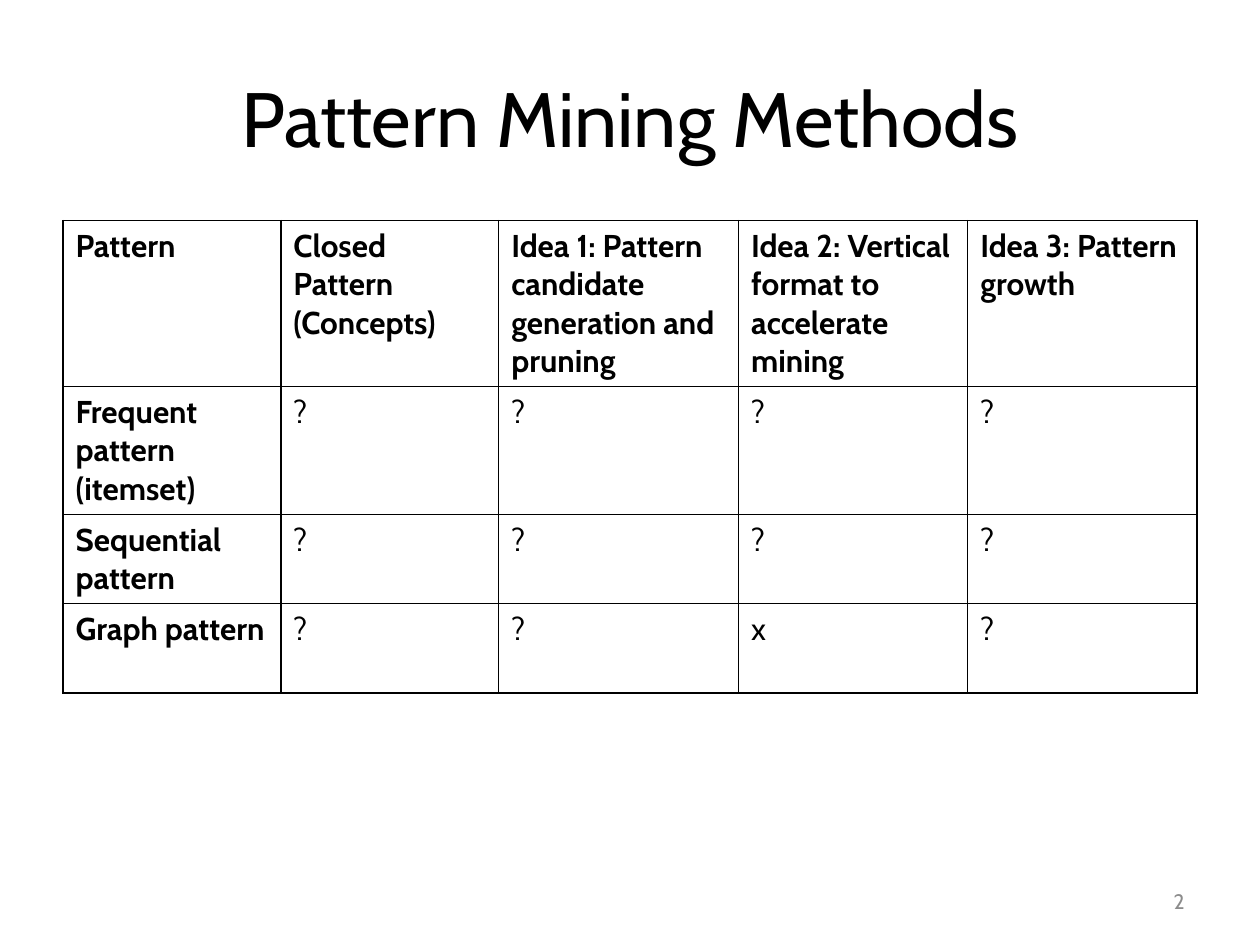
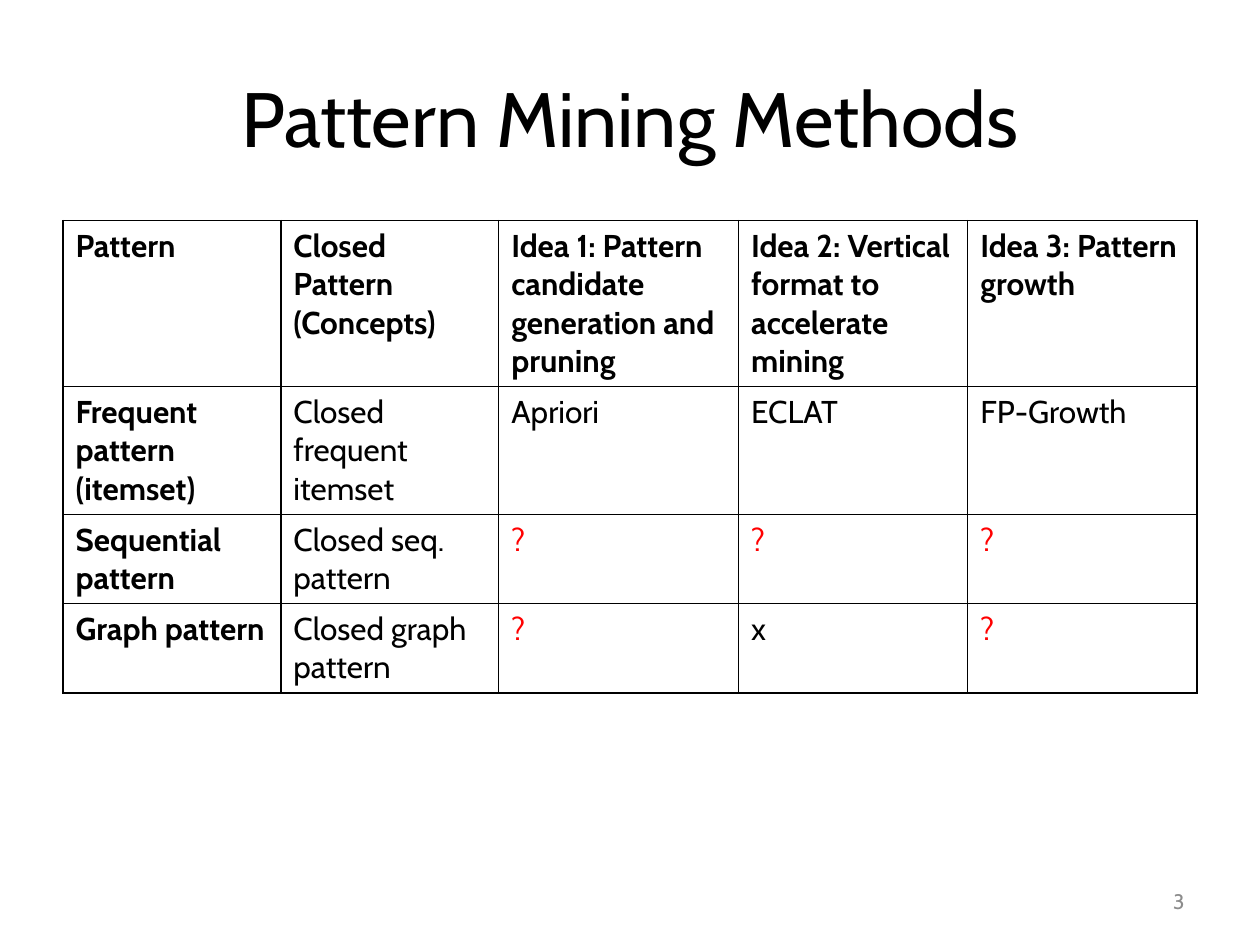
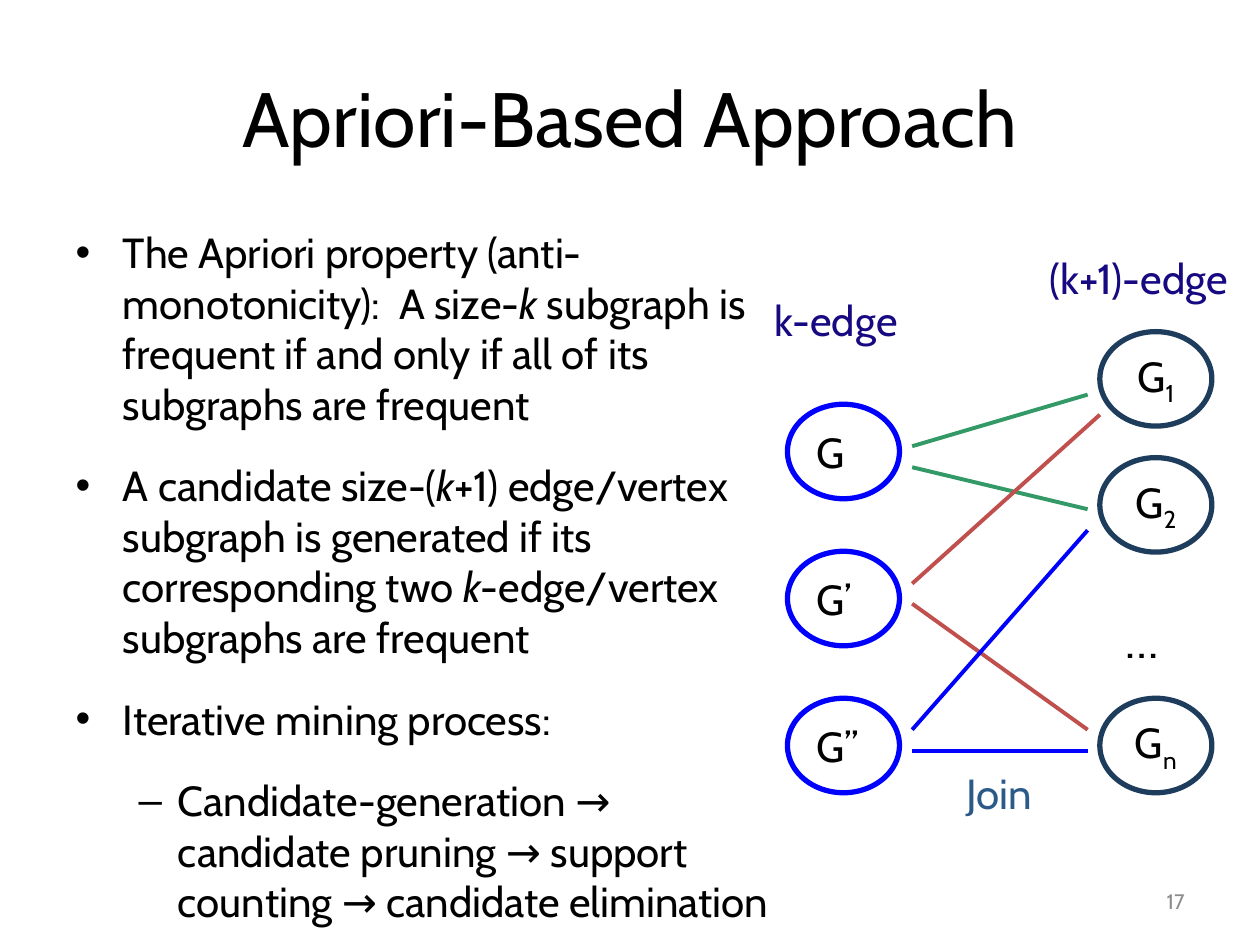
from dataclasses import dataclass

from lxml import etree
from pptx import Presentation
from pptx.dml.color import RGBColor
from pptx.enum.shapes import MSO_CONNECTOR, MSO_SHAPE
from pptx.enum.text import MSO_ANCHOR, MSO_AUTO_SIZE, PP_ALIGN
from pptx.oxml.ns import qn
from pptx.util import Pt

ELLIPSE = MSO_SHAPE.OVAL
STRAIGHT = MSO_CONNECTOR.STRAIGHT
MIDDLE = MSO_ANCHOR.MIDDLE
FIXED, GROW = MSO_AUTO_SIZE.NONE, MSO_AUTO_SIZE.SHAPE_TO_FIT_TEXT
LEFT, CENTER, RIGHT = PP_ALIGN.LEFT, PP_ALIGN.CENTER, PP_ALIGN.RIGHT
TITLE_AND_CONTENT, TITLE_ONLY = 1, 5


@dataclass(frozen=True)
class Theme:
    font: str = "Cabin"
    text: str = "000000"
    paper: str = "FFFFFF"
    muted: str = "8C8C8C"
    open_question: str = "FF0000"
    label: str = "170981"
    join: str = "2C5A88"
    blue: str = "0000FF"
    navy: str = "1E3D5C"
    green: str = "339966"
    red: str = "C0504D"
    title_size: int = 44
    ellipsis_size: int = 28
    body_size: int = 24
    table_size: int = 18
    number_size: int = 12


THEME = Theme()

COLUMN_WIDTHS = (124.5, 124.5, 137, 131, 131)
ROW_HEIGHTS = (95, 73, 51, 51)
HEADINGS = (
    "Pattern",
    "Closed Pattern (Concepts)",
    "Idea 1: Pattern candidate generation and pruning",
    "Idea 2: Vertical format to accelerate mining",
    "Idea 3: Pattern growth",
)
PATTERNS = ("Frequent pattern (itemset)", "Sequential pattern", "Graph pattern")
QUESTIONS = (("?", "?", "?", "?"), ("?", "?", "?", "?"), ("?", "?", "x", "?"))
ANSWERS = (
    ("Closed frequent itemset", "Apriori", "ECLAT", "FP-Growth"),
    ("Closed seq. pattern", "?", "?", "?"),
    ("Closed graph pattern", "?", "x", "?"),
)

# Each bullet: level, then (text, italic) spans.
BULLETS = (
    (0, (("The Apriori property (anti-monotonicity):  A size-", False),
         ("k ", True),
         ("subgraph is frequent if and only if all of its subgraphs are frequent", False))),
    (0, (("A candidate size-(", False),
         ("k", True),
         ("+1) edge/vertex subgraph is generated if its corresponding two ", False),
         ("k", True),
         ("-edge/vertex subgraphs are frequent", False))),
    (0, (("Iterative mining process:", False),)),
    (1, (("Candidate-generation → candidate pruning → support counting"
          " → candidate elimination", False),)),
)

NODE_WIDTH, NODE_HEIGHT = 64, 54
PARENT_LEFT, PARENT_TOP, PARENT_STEP = 450, 231, 84
PARENTS = ("G", "G’", "G’’")
CHILD_LEFT = 628.5
CHILDREN = (("1", 189.5), ("2", 261.5), ("n", 399))
JOIN_START, JOIN_END = 521.25, 621.5
# Each join: start height, end x, end height, colour.
JOINS = (
    (255, JOIN_END, 225.5, THEME.green),
    (267, JOIN_END, 291, THEME.green),
    (333.5, CHILD_LEFT, 237, THEME.red),
    (345, JOIN_END, 417, THEME.red),
    (417, JOIN_END, 303, THEME.blue),
    (429, JOIN_END, 429, THEME.blue),
)


def rgb(colour):
    return RGBColor.from_string(colour)


def write(para, text, size=THEME.body_size, colour=THEME.text, bold=False,
          italic=False, baseline=0):
    """Append a formatted span; baseline is a percentage, negative for subscript."""
    span = para.add_run()
    span.text = text
    span.font.name = THEME.font
    span.font.size = Pt(size)
    span.font.color.rgb = rgb(colour)
    span.font.bold = bold
    span.font.italic = italic
    if baseline:
        span._r.get_or_add_rPr().set("baseline", str(baseline * 1000))


def place(box, left, top, width, height):
    box.left, box.top, box.width, box.height = map(Pt, (left, top, width, height))


def add_page(deck, layout, title, number):
    page = deck.slides.add_slide(deck.slide_layouts[layout])
    heading = page.shapes.title
    place(heading, 36, 21.5, 648, 90)
    frame = heading.text_frame
    frame.vertical_anchor = MIDDLE
    frame.auto_size = FIXED
    frame.paragraphs[0].alignment = CENTER
    write(frame.paragraphs[0], title, size=THEME.title_size)
    add_page_number(page, number)
    return page


def add_page_number(page, number):
    box = page.shapes.add_textbox(Pt(516), Pt(500.5), Pt(168), Pt(28.75))
    frame = box.text_frame
    frame.word_wrap = True
    frame.vertical_anchor = MIDDLE
    frame.paragraphs[0].alignment = RIGHT
    write(frame.paragraphs[0], str(number), size=THEME.number_size, colour=THEME.muted)


def add_borders(cell):
    properties = cell._tc.get_or_add_tcPr()
    for side in ("a:lnL", "a:lnR", "a:lnT", "a:lnB"):
        line = etree.SubElement(properties, qn(side), w=str(Pt(1)))
        fill = etree.SubElement(line, qn("a:solidFill"))
        etree.SubElement(fill, qn("a:srgbClr"), val=THEME.text)


def add_methods_table(page, methods, question_colour):
    rows = [HEADINGS] + [(name, *cells) for name, cells in zip(PATTERNS, methods)]
    table = page.shapes.add_table(
        len(rows), len(HEADINGS), Pt(36), Pt(126),
        Pt(sum(COLUMN_WIDTHS)), Pt(sum(ROW_HEIGHTS))).table
    table.first_row = table.horz_banding = False
    for column, width in zip(table.columns, COLUMN_WIDTHS):
        column.width = Pt(width)
    for row, height in zip(table.rows, ROW_HEIGHTS):
        row.height = Pt(height)
    for i, texts in enumerate(rows):
        for j, text in enumerate(texts):
            cell = table.cell(i, j)
            add_borders(cell)
            cell.fill.background()
            write(cell.text_frame.paragraphs[0], text, size=THEME.table_size,
                  bold=i == 0 or j == 0,
                  colour=question_colour if text == "?" else THEME.text)


def add_bullets(page, bullets):
    body = page.placeholders[1]
    place(body, 36, 126, 412.5, 403)
    frame = body.text_frame
    frame.auto_size = FIXED
    for i, (level, spans) in enumerate(bullets):
        para = frame.add_paragraph() if i else frame.paragraphs[0]
        para.level = level
        para.space_before = Pt(12 if i else 0)
        para.space_after = Pt(6)
        for text, italic in spans:
            write(para, text, italic=italic)


def add_label(shapes, text, left, top, width, height=36, **text_format):
    box = shapes.add_textbox(Pt(left), Pt(top), Pt(width), Pt(height))
    box.text_frame.word_wrap = False
    box.text_frame.auto_size = GROW
    write(box.text_frame.paragraphs[0], text, **text_format)


def add_node(shapes, text, left, top, outline, subscript="", alignment=LEFT):
    node = shapes.add_shape(ELLIPSE, Pt(left), Pt(top), Pt(NODE_WIDTH), Pt(NODE_HEIGHT))
    node.shadow.inherit = False
    node.fill.solid()
    node.fill.fore_color.rgb = rgb(THEME.paper)
    node.line.color.rgb = rgb(outline)
    node.line.width = Pt(3)
    frame = node.text_frame
    frame.word_wrap = False
    frame.vertical_anchor = MIDDLE
    para = frame.paragraphs[0]
    para.alignment = alignment
    write(para, text)
    if subscript:
        write(para, subscript, baseline=-25)


def add_join(shapes, start_y, end_x, end_y, colour):
    join = shapes.add_connector(STRAIGHT, Pt(JOIN_START), Pt(start_y), Pt(end_x), Pt(end_y))
    join.line.color.rgb = rgb(colour)
    join.line.width = Pt(2.25)
    etree.SubElement(join._element.spPr, qn("a:effectLst"))


def add_join_diagram(page):
    shapes = page.shapes.add_group_shape().shapes
    add_label(shapes, "…", 636, 345, 36.5, 41, size=THEME.ellipsis_size)
    for i, name in enumerate(PARENTS):
        add_node(shapes, name, PARENT_LEFT, PARENT_TOP + i * PARENT_STEP, THEME.blue)
    for index, top in CHILDREN:
        add_node(shapes, "G", CHILD_LEFT, top, THEME.navy, subscript=index, alignment=CENTER)
    for join in JOINS:
        add_join(shapes, *join)
    add_label(shapes, "k-edge", 435.5, 165, 85.5, colour=THEME.label)
    add_label(shapes, "(k+1)-edge", 592.5, 141, 126.5, colour=THEME.label)
    add_label(shapes, "Join", 545, 435, 54.5, colour=THEME.join)


def main():
    deck = Presentation()
    deck.slide_width, deck.slide_height = Pt(720), Pt(540)

    for number, methods, question_colour in (
            (2, QUESTIONS, THEME.text), (3, ANSWERS, THEME.open_question)):
        page = add_page(deck, TITLE_ONLY, "Pattern Mining Methods", number)
        add_methods_table(page, methods, question_colour)

    page = add_page(deck, TITLE_AND_CONTENT, "Apriori-Based Approach", 17)
    add_bullets(page, BULLETS)
    add_join_diagram(page)

    deck.save("out.pptx")


if __name__ == "__main__":
    main()
